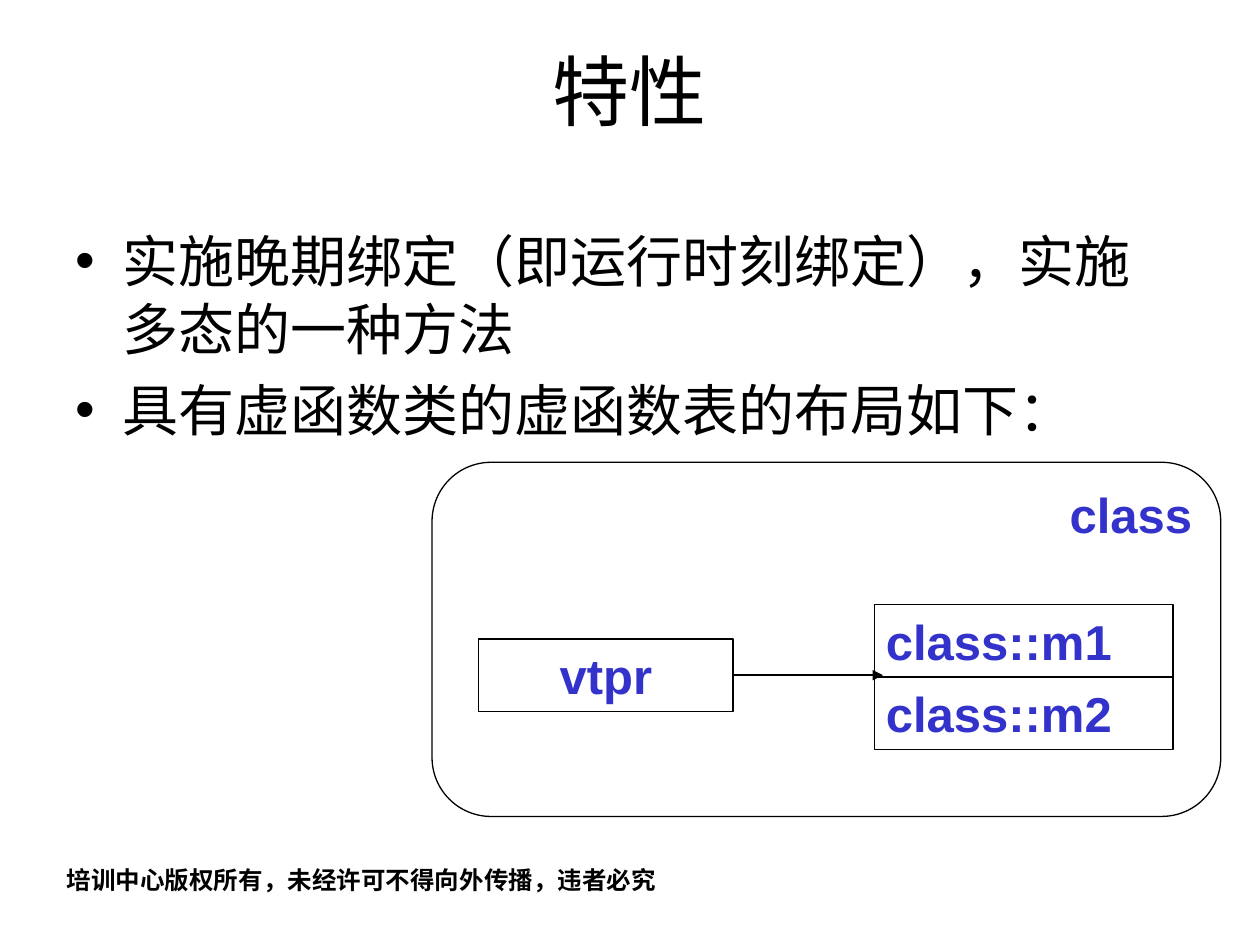
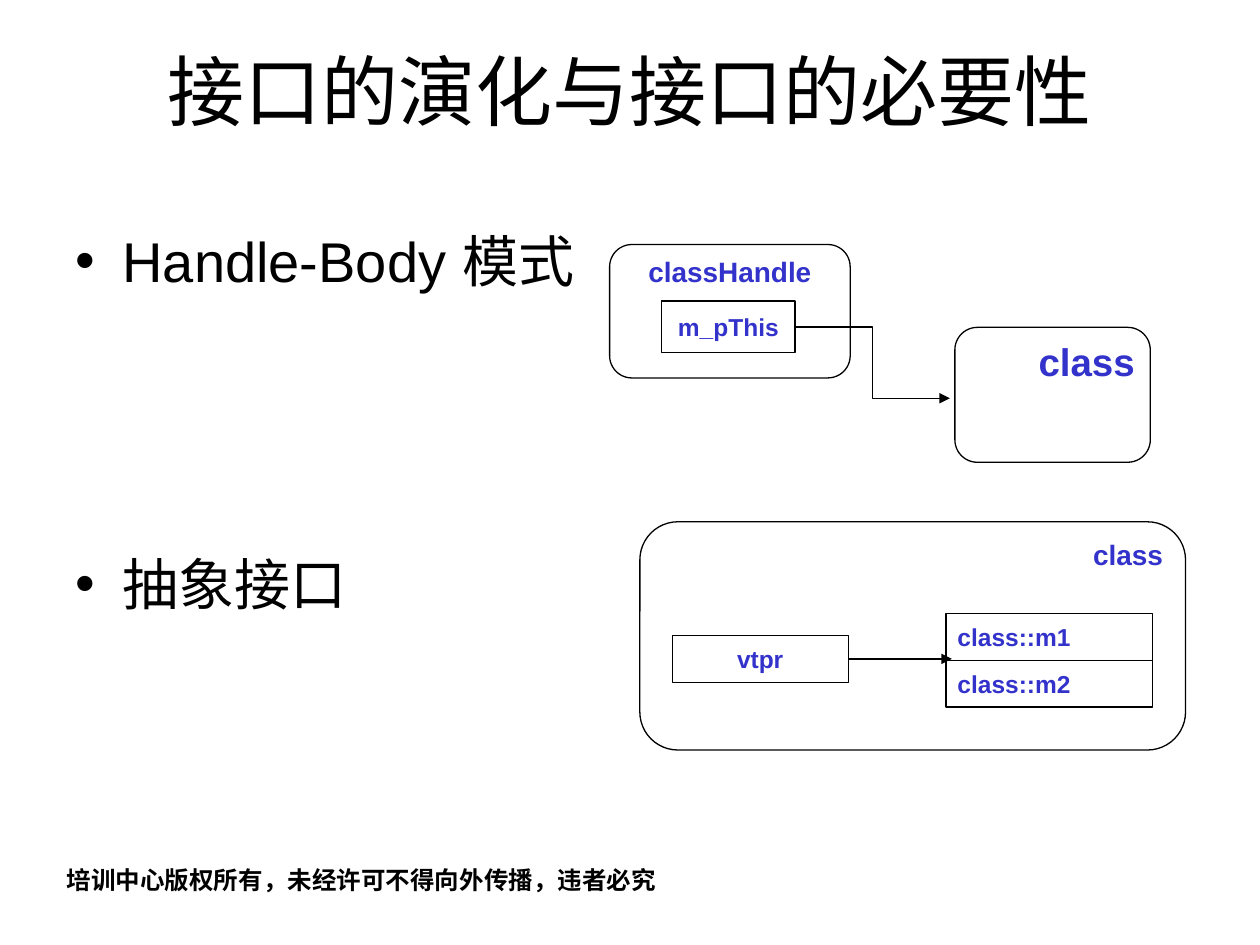
from lxml import etree
from pptx import Presentation
from pptx import util as u
from pptx.dml.color import RGBColor
from pptx.enum import shapes, text
from pptx.oxml import ns

FONT = "Arial"
BLACK, BLUE = "000000", "3333CC"
FOOTER = "培训中心版权所有，未经许可不得向外传播，违者必究"
BULLET_INDENT = 0.95
LEFT, CENTER = text.PP_ALIGN.LEFT, text.PP_ALIGN.CENTER
RIGHT, JUSTIFY = text.PP_ALIGN.RIGHT, text.PP_ALIGN.JUSTIFY
RECT = shapes.MSO_SHAPE.RECTANGLE
ROUNDED = shapes.MSO_SHAPE.ROUNDED_RECTANGLE


def color(target, hex_code):
    target.rgb = RGBColor.from_string(hex_code)


def cm(*lengths):
    return [u.Cm(n) for n in lengths]


def add_xml(parent, tag, **attributes):
    return etree.SubElement(parent, ns.qn(tag), attributes)


def write(p, words, size, align, hex_code=BLACK, bold=False):
    p.alignment = align
    r = p.add_run()
    r.text = words
    r.font.name, r.font.size, r.font.bold = FONT, u.Pt(size), bold
    color(r.font.color, hex_code)


def add_text_box(s, box, wrap=True):
    tf = s.shapes.add_textbox(*cm(*box)).text_frame
    tf.word_wrap = wrap
    return tf


def add_bullets(s, items):
    """Write (text, space before in points) pairs as a bulleted list."""
    tf = add_text_box(s, (1.27, 4.45, 22.86, 12.57))
    for i, (words, gap) in enumerate(items):
        p = tf.add_paragraph() if i else tf.paragraphs[0]
        pPr = p._p.get_or_add_pPr()
        pPr.set("marL", str(u.Cm(BULLET_INDENT)))
        pPr.set("indent", str(-u.Cm(BULLET_INDENT)))
        add_xml(pPr, "a:buFont", typeface=FONT)
        add_xml(pPr, "a:buChar", char="•")
        if gap:
            p.space_before = u.Pt(gap)
        write(p, words, 32, LEFT)


def add_slide(prs, title, bullets):
    s = prs.slides.add_slide(prs.slide_layouts[6])
    footer = add_text_box(s, (1.09, 17.32, 12.4, 0.86), wrap=False)
    write(footer.paragraphs[0], FOOTER, 14, CENTER, bold=True)
    heading = add_text_box(s, (1.27, 0.76, 22.86, 3.18))
    write(heading.paragraphs[0], title, 44, CENTER)
    add_bullets(s, bullets)
    return s


def add_box(s, kind, box, label, size, align, pad=(0.23, 0.1)):
    """Outline box; rounded ones carry their label at the top."""
    sp = s.shapes.add_shape(kind, *cm(*box))
    sp.shadow.inherit = False
    sp.fill.background()
    color(sp.line.color, BLACK)
    sp.line.width = u.Pt(0.75)
    tf = sp.text_frame
    tf.word_wrap = True
    tf.margin_left = tf.margin_right = u.Cm(pad[0])
    tf.margin_top = tf.margin_bottom = u.Cm(pad[1])
    anchor = text.MSO_ANCHOR
    tf.vertical_anchor = anchor.TOP if kind == ROUNDED else anchor.MIDDLE
    write(tf.paragraphs[0], label, size, align, BLUE, bold=True)
    return sp


def add_arrow(s, kind, start, end):
    c = s.shapes.add_connector(kind, *cm(*start, *end))
    color(c.line.color, BLACK)
    c.line.width = u.Pt(0.75)
    spPr = c.element.spPr
    add_xml(spPr.get_or_add_ln(), "a:tailEnd", type="triangle")
    add_xml(spPr, "a:effectLst")
    return c


def add_class_diagram(s, left, top, width, height, label_size, member_size):
    """Draw a class whose vtpr points to its table, scaled to the frame."""
    kx, ky = width / 15.9, height / 7.14

    def place(x, y, w, h):
        return left + x * kx, top + y * ky, w * kx, h * ky

    add_box(s, ROUNDED, (left, top, width, height), "class", label_size, RIGHT)
    vtpr = add_box(s, RECT, place(0.94, 3.56, 5.13, 1.46), "vtpr",
                   member_size, CENTER)
    for i, method in enumerate(("class::m1", "class::m2")):
        add_box(s, RECT, place(8.92, 2.87 + 1.46 * i, 6.02, 1.46), method,
                member_size, JUSTIFY)
    start, end = place(6.07, 4.29, 0, 0)[:2], place(9.09, 4.29, 0, 0)[:2]
    arrow = add_arrow(s, shapes.MSO_CONNECTOR.STRAIGHT, start, end)
    arrow.begin_connect(vtpr, 3)


def add_handle_diagram(s):
    pad = (0.18, 0.08)
    add_box(s, ROUNDED, (12.29, 4.93, 4.85, 2.69), "classHandle", 16, CENTER, pad)
    add_box(s, RECT, (13.34, 6.07, 2.69, 1.04), "m_pThis", 14, CENTER, pad)
    add_box(s, ROUNDED, (19.25, 6.6, 3.94, 2.72), "class", 22, RIGHT, pad)
    add_arrow(s, shapes.MSO_CONNECTOR.ELBOW, (16.03, 6.59), (19.15, 8.03))


def main():
    prs = Presentation()
    prs.slide_width, prs.slide_height = cm(25.4, 19.05)

    s = add_slide(prs, "特性", [
        ("实施晚期绑定（即运行时刻绑定），实施多态的一种方法", 0),
        ("具有虚函数类的虚函数表的布局如下：", 8),
    ])
    add_class_diagram(s, 8.71, 9.32, 15.9, 7.14, 28, 28)

    s = add_slide(prs, "接口的演化与接口的必要性", [
        ("Handle-Body 模式", 0),
        ("抽象接口", 146),
    ])
    add_handle_diagram(s)
    add_class_diagram(s, 12.9, 10.52, 11, 4.6, 16, 14)

    prs.save("out.pptx")


if __name__ == "__main__":
    main()
